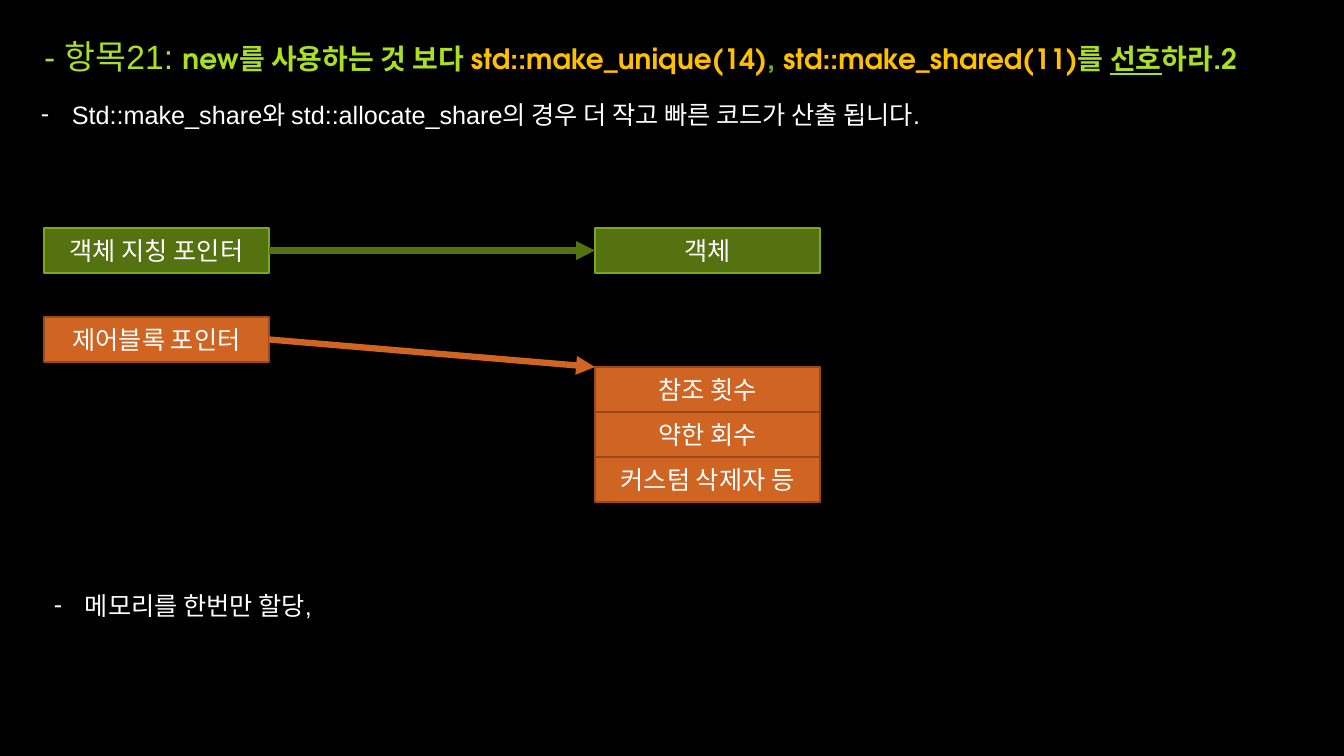
from dataclasses import dataclass

from lxml.etree import SubElement
from pptx import Presentation
from pptx.dml.color import RGBColor
from pptx.enum.shapes import MSO_CONNECTOR, MSO_SHAPE
from pptx.enum.text import MSO_ANCHOR, MSO_AUTO_SIZE, PP_ALIGN
from pptx.oxml.ns import qn
from pptx.util import Pt

TOP, LEFT, BOTTOM, RIGHT = range(4)


@dataclass(frozen=True)
class Theme:
    background: str = "000000"
    text: str = "FFFFFF"
    lime: str = "A9E023"
    olive: str = "80AA18"
    amber: str = "FFC000"
    object_fill: str = "557210"
    object_line: str = "7DA61A"
    control_fill: str = "D06423"
    control_line: str = "9A4A1A"
    body_font: str = "Arial"
    display_font: str = "TeX Gyre Adventor"
    heading_size: int = 24
    title_size: int = 20
    body_size: int = 18
    border: float = 1.5
    arrow: float = 4.5


def px(length):
    return round(length * 914400 / 100.8)


def rgb(colour):
    return RGBColor.from_string(colour)


class SlideBuilder:
    def __init__(self, deck, theme):
        self.theme = theme
        self.page = deck.slides.add_slide(deck.slide_layouts[5])
        fill = self.page.background.fill
        fill.solid()
        fill.fore_color.rgb = rgb(theme.background)

    def span(self, para, text, font, size, colour, bold=False, underline=False):
        span = para.add_run()
        span.text = text
        span.font.name = font
        span.font.size = Pt(size)
        span.font.color.rgb = rgb(colour)
        span.font.bold = bold
        span.font.underline = underline

    def title(self, left, top, width, height, heading, parts):
        """Parts are (text, colour, underlined) after the plain heading."""
        theme = self.theme
        box = self.page.shapes.title
        box.left, box.top, box.width, box.height = map(px, (left, top, width, height))
        frame = box.text_frame
        frame.auto_size = MSO_AUTO_SIZE.NONE
        frame.word_wrap = True
        frame.vertical_anchor = MSO_ANCHOR.MIDDLE
        para = frame.paragraphs[0]
        para.alignment = PP_ALIGN.JUSTIFY
        self.span(para, heading, theme.body_font, theme.heading_size, theme.lime)
        for text, colour, underline in parts:
            self.span(para, text, theme.display_font, theme.title_size, colour, True, underline)

    def bullet(self, left, top, width, height, text):
        theme = self.theme
        box = self.page.shapes.add_textbox(*map(px, (left, top, width, height)))
        frame = box.text_frame
        frame.word_wrap = True
        frame.auto_size = MSO_AUTO_SIZE.SHAPE_TO_FIT_TEXT
        para = frame.paragraphs[0]
        properties = para._p.get_or_add_pPr()
        properties.set("marL", str(px(31)))
        properties.set("indent", str(-px(31)))
        SubElement(properties, qn("a:buFont"), typeface=theme.body_font)
        SubElement(properties, qn("a:buChar"), char="-")
        self.span(para, text, theme.body_font, theme.body_size, theme.text)

    def group(self):
        return self.page.shapes.add_group_shape()

    def block(self, group, left, top, text, fill, line):
        theme = self.theme
        box = group.shapes.add_shape(MSO_SHAPE.RECTANGLE, *map(px, (left, top, 225, 45)))
        box.shadow.inherit = False
        box.fill.solid()
        box.fill.fore_color.rgb = rgb(fill)
        box.line.color.rgb = rgb(line)
        box.line.width = Pt(theme.border)
        frame = box.text_frame
        frame.word_wrap = True
        frame.vertical_anchor = MSO_ANCHOR.MIDDLE
        para = frame.paragraphs[0]
        para.alignment = PP_ALIGN.CENTER
        self.span(para, text, theme.display_font, theme.body_size, theme.text)
        return box

    def arrow(self, group, source, target, colour, to_corner=False):
        """Point from the source's right side to the target's left side or top-left corner."""
        arrow = group.shapes.add_connector(
            MSO_CONNECTOR.STRAIGHT, source.left + source.width,
            source.top + source.height // 2, target.left, target.top)
        arrow.begin_connect(source, RIGHT)
        if not to_corner:
            arrow.end_connect(target, LEFT)
        arrow.line.color.rgb = rgb(colour)
        arrow.line.width = Pt(self.theme.arrow)
        SubElement(arrow.line._get_or_add_ln(), qn("a:tailEnd"), type="triangle")
        SubElement(arrow._element.spPr, qn("a:effectLst"))


def main():
    deck = Presentation()
    deck.slide_width, deck.slide_height = px(1344), px(756)
    theme = Theme()
    slide = SlideBuilder(deck, theme)

    slide.title(34, 13, 1278, 87, "- 항목21: ", [
        ("new를 사용하는 것 보다 ", theme.lime, False),
        ("std::make_unique(14)", theme.amber, False),
        (", ", theme.olive, False),
        ("std::make_shared(11)", theme.amber, False),
        ("를 ", theme.lime, False),
        ("선호", theme.lime, True),
        ("하라.2", theme.lime, False),
    ])
    slide.bullet(31, 94, 1069, 40,
                 "Std::make_share와 std::allocate_share의 경우 더 작고 빠른 코드가 산출 됩니다.")

    pointer_left, target_left = 44, 595
    control_colours = theme.control_fill, theme.control_line
    control = slide.group()
    pointer = slide.block(control, pointer_left, 317, "제어블록 포인터", *control_colours)
    fields = [slide.block(control, target_left, 367 + 45 * row, text, *control_colours)
              for row, text in enumerate(("참조 횟수", "약한 회수", "커스텀 삭제자 등"))]
    slide.arrow(control, pointer, fields[0], theme.control_fill, to_corner=True)

    object_colours = theme.object_fill, theme.object_line
    managed = slide.group()
    pointer = slide.block(managed, pointer_left, 228, "객체 지칭 포인터", *object_colours)
    target = slide.block(managed, target_left, 228, "객체", *object_colours)
    slide.arrow(managed, pointer, target, theme.object_fill)

    slide.bullet(44, 585, 1069, 40, "메모리를 한번만 할당,")
    deck.save("out.pptx")


if __name__ == "__main__":
    main()
